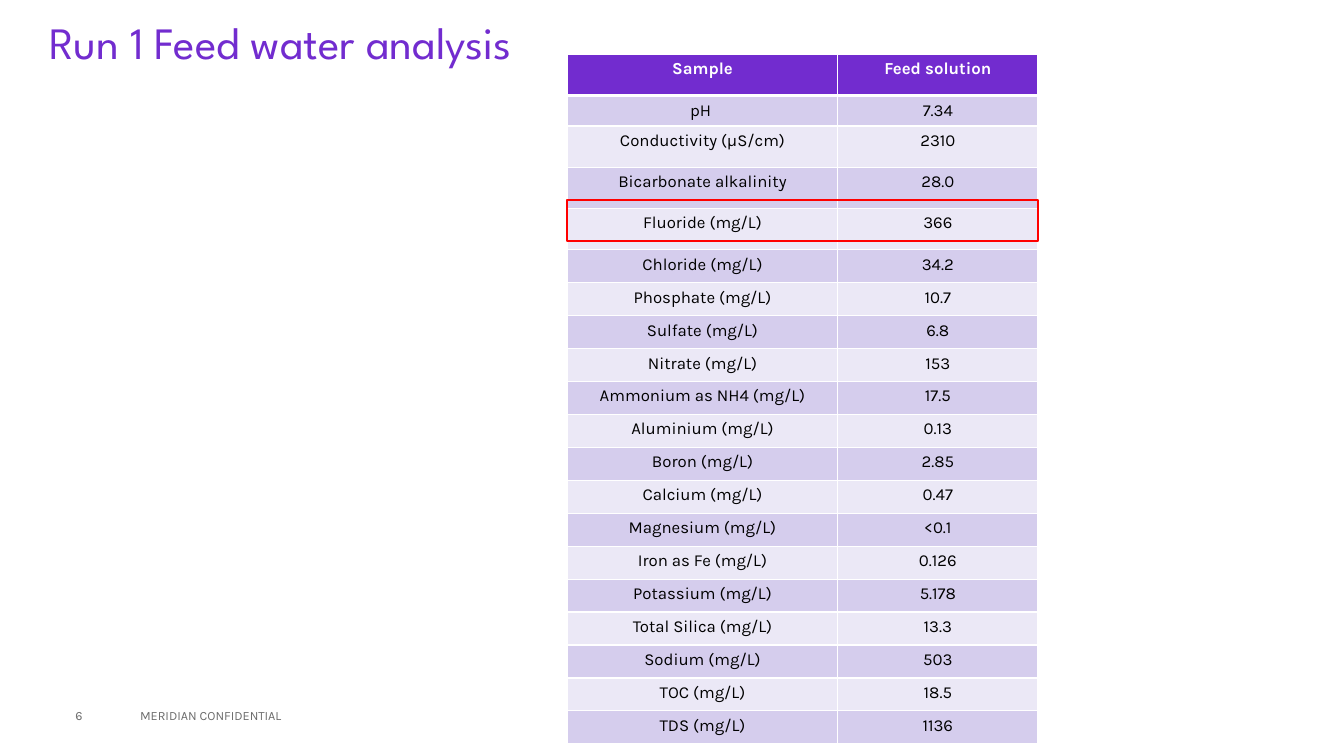
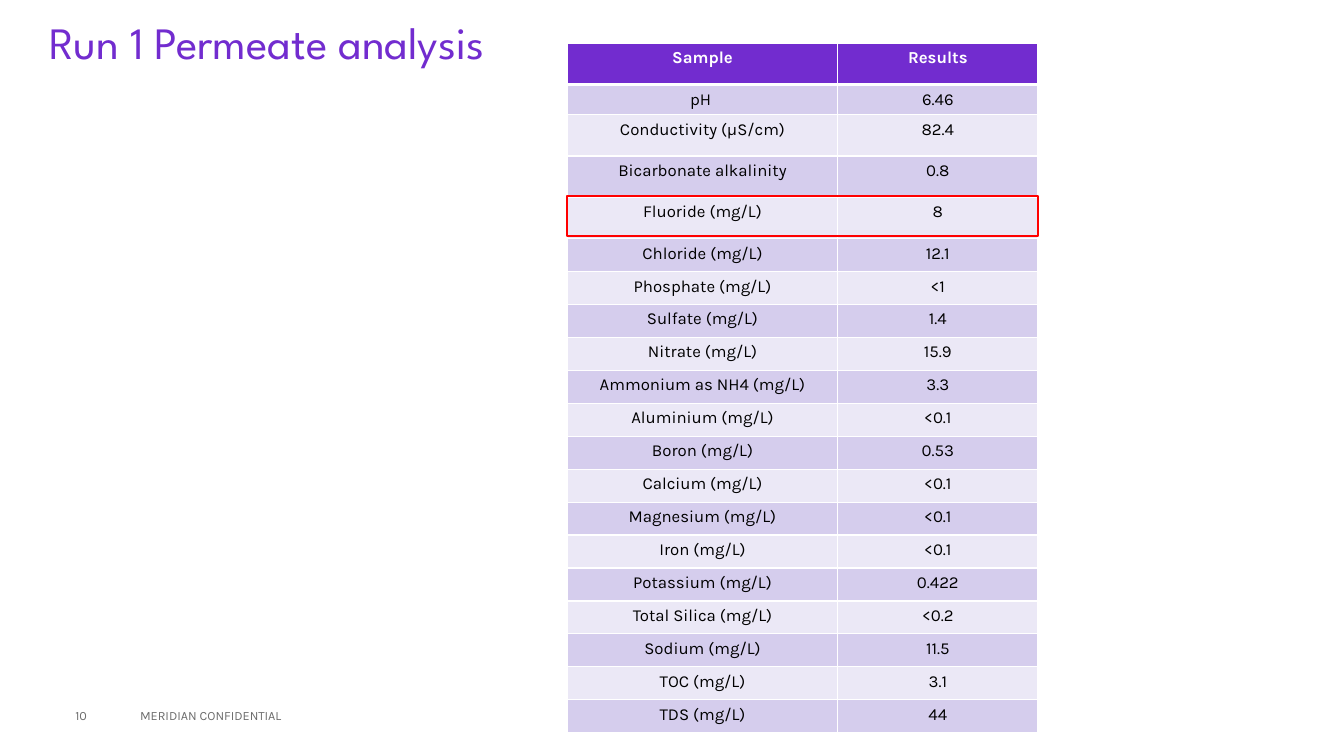
from pptx import Presentation
from pptx.dml.color import RGBColor
from pptx.enum.shapes import MSO_SHAPE
from pptx.enum.text import MSO_ANCHOR, PP_ALIGN
from pptx.oxml import parse_xml
from pptx.oxml.ns import nsdecls
from pptx.util import Cm, Pt

NAMES = ["pH ", "Conductivity (µS/cm)", "Bicarbonate alkalinity", "Fluoride (mg/L)",
         "Chloride (mg/L)", "Phosphate (mg/L)", "Sulfate (mg/L)", "Nitrate (mg/L)",
         "Ammonium as NH4 (mg/L)", "Aluminium (mg/L)", "Boron (mg/L)",
         "Calcium (mg/L)", "Magnesium (mg/L)", "Iron (mg/L)", "Potassium (mg/L)",
         "Total Silica (mg/L)", "Sodium (mg/L)", "TOC (mg/L)", "TDS (mg/L)"]
FEED = ["7.34", "2310", "28.0", "366", "34.2", "10.7", "6.8", "153", "17.5", "0.13",
        "2.85", "0.47", "<0.1", "0.126", "5.178", "13.3", "503", "18.5", "1136"]
CLEAN = ["6.46", "82.4", "0.8", "8", "12.1", "<1", "1.4", "15.9", "3.3", "<0.1",
         "0.53", "<0.1", "<0.1", "<0.1", "0.422", "<0.2", "11.5", "3.1", "44"]


class Deck:
    """Hold the shared style and the slide being built."""

    hues = {"main": "722CCF", "dark": "D5CDED", "pale": "EBE8F6", "grey": "6C6C6C",
            "white": "FFFFFF", "black": "000000", "mark": "FF0000"}
    head, body = "League Spartan", "Karla"
    left, cols = 14.3, (6.81, 5.05)
    rows = [1.04, 0.76] + [1.04] * 3 + [0.83] * 15

    def __init__(self):
        self.show = Presentation()
        self.show.slide_width, self.show.slide_height = Cm(33.87), Cm(19.05)

    def hue(self, name):
        return RGBColor.from_string(self.hues[name])

    def style(self, para, size, face, hue, bold=False):
        for run in para.runs:
            font = run.font
            font.size, font.name, font.bold = Pt(size), face, bold
            font.color.rgb = self.hue(hue)

    def text(self, words, box, size, face, hue, inset=0.0):
        frame = self.slide.shapes.add_textbox(*map(Cm, box)).text_frame
        frame.word_wrap = True
        frame.vertical_anchor = MSO_ANCHOR.MIDDLE
        frame.margin_left = Cm(inset)
        frame.text = words
        self.style(frame.paragraphs[0], size, face, hue)
        return frame.paragraphs[0]

    def page(self, title, num):
        self.slide = self.show.slides.add_slide(self.show.slide_layouts[6])
        para = self.text(title, (1.24, 0.28, 30, 1.7), 32, self.head, "main")
        para.line_spacing = 0.9
        self.text("MERIDIAN CONFIDENTIAL", (3.28, 17.53, 11.43, 1.02), 9,
                  self.body, "grey", 0.25)
        self.text(str(num), (1.9, 17.53, 1.37, 1.02), 9, self.body, "grey")

    def edges(self, cell, row):
        wide = {(0, "B"): 3, (1, "T"): 3}
        props = cell._tc.get_or_add_tcPr()
        for side in "LRTB":
            width = Pt(wide.get((row, side), 1))
            props.append(parse_xml(
                f'<a:ln{side} {nsdecls("a")} w="{width}"><a:solidFill>'
                f'<a:srgbClr val="{self.hues["white"]}"/></a:solidFill></a:ln{side}>'))

    def cell(self, cell, row, words):
        self.edges(cell, row)
        fill = "main" if row == 0 else "dark" if row % 2 else "pale"
        cell.fill.solid()
        cell.fill.fore_color.rgb = self.hue(fill)
        cell.text_frame.text = words
        para = cell.text_frame.paragraphs[0]
        para.alignment = PP_ALIGN.CENTER
        self.style(para, 12, self.body, "black" if row else "white", row == 0)

    def table(self, top, data):
        grid = self.slide.shapes.add_table(
            len(data), len(self.cols), Cm(self.left), Cm(top),
            Cm(sum(self.cols)), Cm(sum(self.rows))).table
        grid.horz_banding = False
        for col, width in zip(grid.columns, self.cols):
            col.width = Cm(width)
        for row, line in enumerate(data):
            grid.rows[row].height = Cm(self.rows[row])
            for col, words in enumerate(line):
                self.cell(grid.cell(row, col), row, words)

    def frame(self, top):
        box = self.slide.shapes.add_shape(
            MSO_SHAPE.RECTANGLE, Cm(self.left), Cm(top), Cm(sum(self.cols)), Cm(1.02))
        box.shadow.inherit = False
        box.fill.background()
        box.line.color.rgb = self.hue("mark")
        box.line.width = Pt(1.5)


def main():
    deck = Deck()
    iron = NAMES.index("Iron (mg/L)")
    feed = NAMES[:iron] + ["Iron as Fe (mg/L)"] + NAMES[iron + 1:]
    pages = [("Run 1 Feed water analysis", 6, "Feed solution", feed, FEED, 1.37, 5.05),
             ("Run 1 Permeate analysis", 10, "Results", NAMES, CLEAN, 1.09, 4.93)]
    for title, num, head, names, values, top, mark in pages:
        deck.page(title, num)
        deck.table(top, [("Sample", head), *zip(names, values)])
        deck.frame(mark)
    deck.show.save("out.pptx")


if __name__ == "__main__":
    main()
